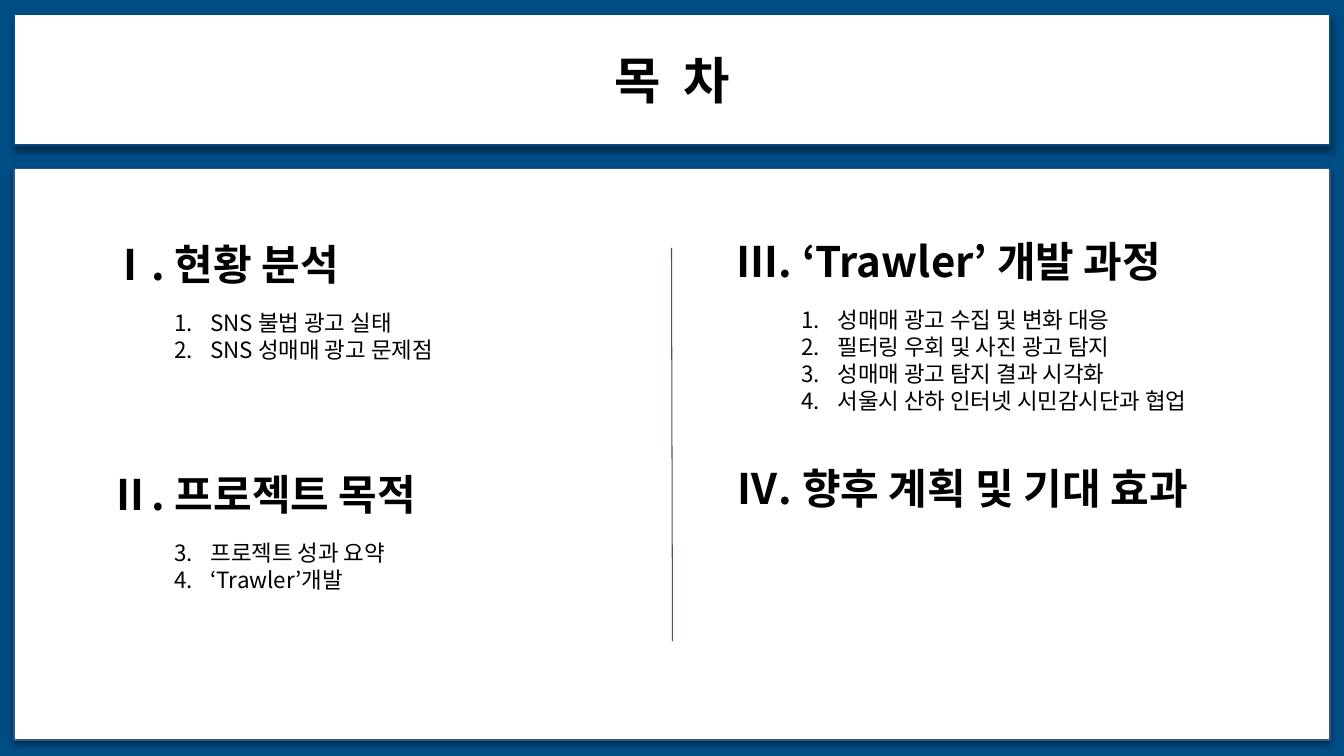
from lxml import etree
from pptx import Presentation
from pptx.dml.color import RGBColor
from pptx.enum.shapes import MSO_CONNECTOR, MSO_SHAPE
from pptx.enum.text import MSO_ANCHOR, MSO_AUTO_SIZE, PP_ALIGN
from pptx.oxml.ns import qn
from pptx.util import Inches, Pt

FONT = "Noto Sans CJK KR"
COLORS = {"blue": "004D86", "white": "FFFFFF", "black": "000000",
          "border": "31538F", "divider": "44546A"}
LINE_HEIGHT = 1.2

# Each section: heading, number of its first item, items, space above in points
LEFT = [
    ("Ⅰ. 현황 분석", 1, ["SNS 불법 광고 실태", "SNS 성매매 광고 문제점"], 0),
    ("Ⅱ. 프로젝트 목적", 3, ["프로젝트 성과 요약", "‘Trawler’개발"], 75.6),
]
RIGHT = [
    ("Ⅲ. ‘Trawler’ 개발 과정", 1,
     ["성매매 광고 수집 및 변화 대응", "필터링 우회 및 사진 광고 탐지",
      "성매매 광고 탐지 결과 시각화", "서울시 산하 인터넷 시민감시단과 협업"], 0),
    ("Ⅳ. 향후 계획 및 기대 효과", 1, [], 34.8),
]


def rgb(name):
    return RGBColor.from_string(COLORS[name])


def add_text(p, text, size, bold=False, align=PP_ALIGN.LEFT, before=0, leading=None):
    p.alignment = align
    p.space_before = Pt(before)
    if leading:
        p.line_spacing = Pt(size * leading)
    r = p.add_run()
    r.text = text
    r.font.size, r.font.bold, r.font.name = Pt(size), bold, FONT
    r.font.color.rgb = rgb("black")
    ea = etree.SubElement(r.font._element, qn("a:ea"))
    ea.set("typeface", FONT)


def number_item(p, start):
    pPr = p._p.get_or_add_pPr()
    pPr.set("marL", str(Inches(1)))
    pPr.set("indent", str(Inches(-0.36)))
    bullet = etree.SubElement(pPr, qn("a:buAutoNum"))
    bullet.set("type", "arabicPeriod")
    if start > 1:
        bullet.set("startAt", str(start))


def style_panel(sp, border):
    """White card with a thin border and a soft shadow below."""
    sp.fill.solid()
    sp.fill.fore_color.rgb = rgb("white")
    sp.line.color.rgb = rgb(border)
    sp.line.width = Pt(1)
    effects = etree.SubElement(sp._element.spPr, qn("a:effectLst"))
    shadow = etree.SubElement(effects, qn("a:outerShdw"), blurRad=str(Pt(4)),
                              dist=str(Pt(3)), dir="5400000", algn="t", rotWithShape="0")
    color = etree.SubElement(shadow, qn("a:srgbClr"), val=COLORS["black"])
    etree.SubElement(color, qn("a:alpha"), val="40000")


def add_title(slide, x, y, w, h):
    sp = slide.shapes.title
    sp.left, sp.top, sp.width, sp.height = map(Inches, (x, y, w, h))
    style_panel(sp, "blue")
    tf = sp.text_frame
    tf.auto_size = MSO_AUTO_SIZE.NONE
    tf.vertical_anchor = MSO_ANCHOR.MIDDLE
    add_text(tf.paragraphs[0], "목  차", 36, bold=True, align=PP_ALIGN.CENTER)


def add_column(slide, sections, x, y, w, h):
    tf = slide.shapes.add_textbox(*map(Inches, (x, y, w, h))).text_frame
    tf.word_wrap = True
    tf.margin_left = tf.margin_right = tf.margin_top = tf.margin_bottom = Inches(0.1)
    for i, (heading, start, items, gap) in enumerate(sections):
        p = tf.add_paragraph() if i else tf.paragraphs[0]
        add_text(p, heading, 30, bold=True, before=gap, leading=LINE_HEIGHT)
        for j, item in enumerate(items):
            p = tf.add_paragraph()
            add_text(p, item, 16, before=0 if j else 14.4, leading=LINE_HEIGHT)
            number_item(p, start)


def add_contents(slide, x, y, w, h):
    sp = slide.shapes.add_shape(MSO_SHAPE.RECTANGLE, *map(Inches, (x, y, w, h)))
    style_panel(sp, "border")
    add_column(slide, LEFT, x + 0.85, y + 0.6, 5.6, 4.33)
    add_column(slide, RIGHT, x + 7.07, y + 0.57, 5.9, 3.79)
    # Divider between the columns
    line = slide.shapes.add_connector(
        MSO_CONNECTOR.STRAIGHT,
        *map(Inches, (x + 6.52, y + 0.79, x + 6.53, y + 4.69)))
    line.line.color.rgb = rgb("divider")
    line.line.width = Pt(0.75)
    etree.SubElement(line._element.spPr, qn("a:effectLst"))


def main():
    prs = Presentation()
    prs.slide_width, prs.slide_height = Inches(13.33), Inches(7.5)
    slide = prs.slides.add_slide(prs.slide_layouts[5])
    slide.background.fill.solid()
    slide.background.fill.fore_color.rgb = rgb("blue")
    add_title(slide, 0.14, 0.14, 13.05, 1.3)
    add_contents(slide, 0.14, 1.67, 13.05, 5.67)
    prs.save("out.pptx")


if __name__ == "__main__":
    main()
